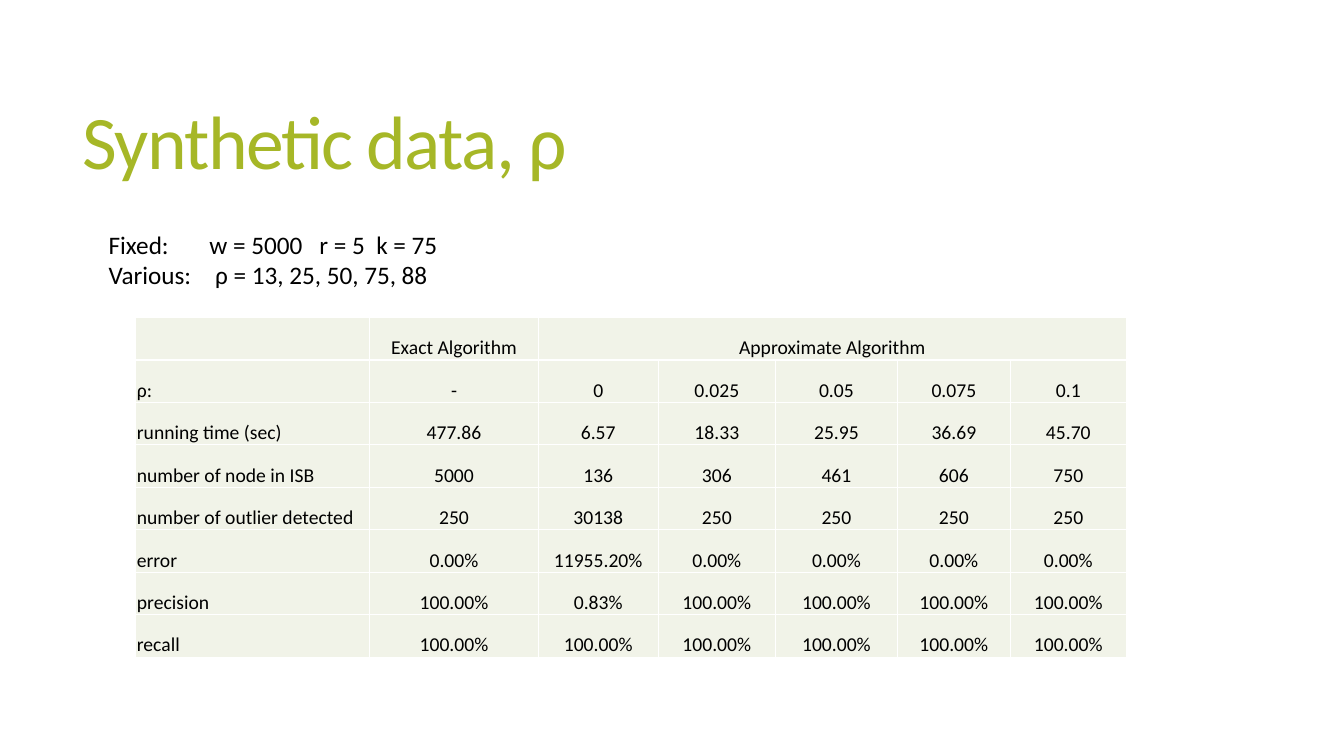
from lxml.etree import SubElement
from pptx import Presentation
from pptx.dml.color import RGBColor
from pptx.enum.text import MSO_ANCHOR as Anchor, MSO_AUTO_SIZE as AutoSize, PP_ALIGN as Align
from pptx.oxml.ns import qn
from pptx.util import Cm, Pt

FONT = "Calibri"
TITLE_GREEN, INK, CELL_FILL, GRID_LINE = "A6B727", "000000", "F1F3E8", "FFFFFF"

SETTINGS = [
    "\tFixed:\tw = 5000   r = 5  k = 75",
    "\tVarious:\t ρ = 13, 25, 50, 75, 88",
]
TAB_STOPS = [1.27, 3.81]
COLUMN_SHARES = [5.89, 4.24, 3.02, 2.95, 3.07, 2.84, 2.92]
RESULTS = [
    ["", "Exact Algorithm", "Approximate Algorithm", "", "", "", ""],
    ["ρ:", "-", "0", "0.025", "0.05", "0.075", "0.1"],
    ["running time (sec)", "477.86", "6.57", "18.33", "25.95", "36.69", "45.70"],
    ["number of node in ISB", "5000", "136", "306", "461", "606", "750"],
    ["number of outlier detected", "250", "30138"] + ["250"] * 4,
    ["error", "0.00%", "11955.20%"] + ["0.00%"] * 4,
    ["precision", "100.00%", "0.83%"] + ["100.00%"] * 4,
    ["recall"] + ["100.00%"] * 6,
]


def color(hex_code):
    return RGBColor.from_string(hex_code)


def style(paragraph, size, hex_code):
    for run in paragraph.runs:
        run.font.name = FONT
        run.font.size = Pt(size)
        run.font.color.rgb = color(hex_code)


def add_title(slide, left, top, width, height):
    title = slide.shapes.title
    title.left, title.top, title.width, title.height = Cm(left), Cm(top), Cm(width), Cm(height)
    frame = title.text_frame
    frame.text = "Synthetic data, ρ"
    frame.vertical_anchor = Anchor.MIDDLE
    frame.auto_size = AutoSize.NONE
    heading = frame.paragraphs[0]
    heading.alignment = Align.LEFT
    heading.line_spacing = 0.85
    style(heading, 54, TITLE_GREEN)
    heading.runs[0].font._element.set("spc", "-120")


def add_settings(slide, left, top, width, height):
    frame = slide.shapes.add_textbox(Cm(left), Cm(top), Cm(width), Cm(height)).text_frame
    frame.word_wrap = True
    frame.auto_size = AutoSize.SHAPE_TO_FIT_TEXT
    frame.text = "\n".join(SETTINGS)
    for setting in frame.paragraphs:
        style(setting, 18, INK)
        stops = SubElement(setting._p.get_or_add_pPr(), qn("a:tabLst"))
        for stop in TAB_STOPS:
            SubElement(stops, qn("a:tab"), pos=str(Cm(stop)), algn="l")


def add_borders(cell):
    properties = cell._tc.get_or_add_tcPr()
    for side in ("a:lnL", "a:lnR", "a:lnT", "a:lnB"):
        line = SubElement(properties, qn(side), w=str(Pt(1)))
        SubElement(SubElement(line, qn("a:solidFill")), qn("a:srgbClr"), val=GRID_LINE)


def fill_cell(cell, value, alignment):
    add_borders(cell)
    cell.fill.solid()
    cell.fill.fore_color.rgb = color(CELL_FILL)
    cell.vertical_anchor = Anchor.BOTTOM
    cell.margin_left = cell.margin_right = cell.margin_top = Cm(0.03)
    cell.margin_bottom = 0
    entry = cell.text_frame.paragraphs[0]
    entry.text = value
    entry.alignment = alignment
    style(entry, 14, INK)


def add_results(slide, left, top, width, height):
    results = slide.shapes.add_table(
        len(RESULTS), len(COLUMN_SHARES), Cm(left), Cm(top), Cm(width), Cm(height)).table
    for column, share in zip(results.columns, COLUMN_SHARES):
        column.width = Cm(width * share / sum(COLUMN_SHARES))
    for row_index, values in enumerate(RESULTS):
        results.rows[row_index].height = Cm(height / len(RESULTS))
        for column_index, value in enumerate(values):
            alignment = Align.CENTER if column_index else Align.LEFT
            fill_cell(results.cell(row_index, column_index), value, alignment)
    results.cell(0, 2).merge(results.cell(0, len(COLUMN_SHARES) - 1))


def main():
    deck = Presentation()
    deck.slide_width, deck.slide_height = Cm(33.87), Cm(19.05)
    slide = deck.slides.add_slide(deck.slide_layouts[5])
    add_title(slide, 1.83, 1.4, 29.92, 4.6)
    add_settings(slide, 1.22, 5.66, 29.92, 1.8)
    add_results(slide, 3.42, 8.0, 24.97, 8.56)
    deck.save("out.pptx")


if __name__ == "__main__":
    main()
